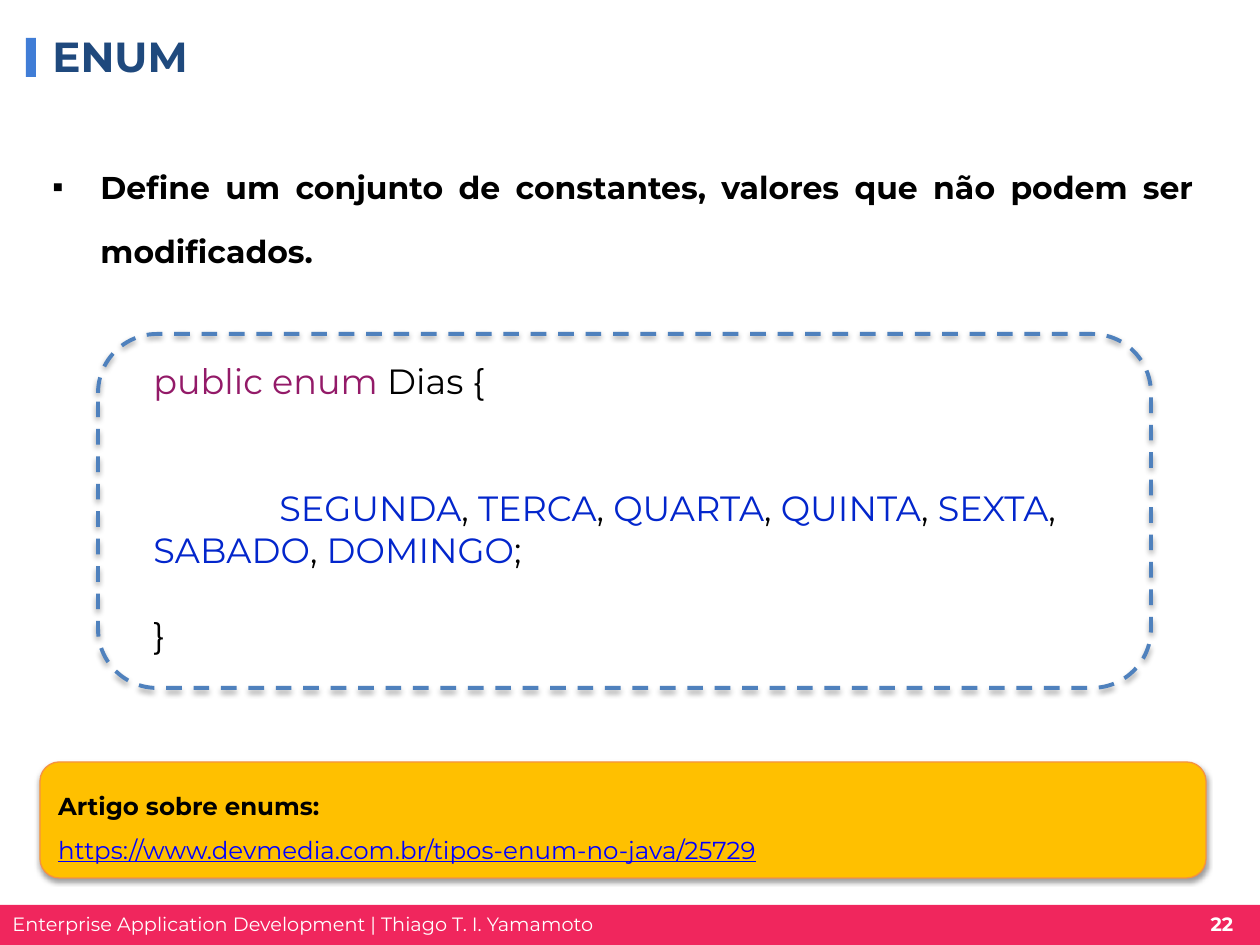
from dataclasses import dataclass

from lxml import etree
from pptx import Presentation
from pptx.dml.color import RGBColor
from pptx.enum.dml import MSO_LINE
from pptx.enum.shapes import MSO_SHAPE
from pptx.enum.text import MSO_ANCHOR, PP_ALIGN
from pptx.oxml import parse_xml
from pptx.oxml.ns import nsdecls, qn
from pptx.util import Emu, Pt

RECT, ROUNDED = MSO_SHAPE.RECTANGLE, MSO_SHAPE.ROUNDED_RECTANGLE
TOP, MIDDLE = MSO_ANCHOR.TOP, MSO_ANCHOR.MIDDLE
LEFT, CENTER, JUSTIFY = PP_ALIGN.LEFT, PP_ALIGN.CENTER, PP_ALIGN.JUSTIFY
DASH = MSO_LINE.DASH
PX_PER_INCH = 126


def px(length):
    return Emu(round(length * 914400 / PX_PER_INCH))


@dataclass(frozen=True)
class Theme:
    font: str = "Montserrat"
    # Colours
    footer: str = "F0265D"
    accent: str = "407DD6"
    title: str = "1F497D"
    text: str = "000000"
    light: str = "FFFFFF"
    card: str = "FFC000"
    card_line: str = "F69240"
    link: str = "0000FF"
    frame: str = "4F81BD"
    keyword: str = "931A68"
    constant: str = "0326CC"
    # Type sizes in points
    title_size: int = 24
    body_size: int = 18
    code_size: int = 20
    card_size: int = 14
    footer_size: int = 11
    code_line: float = 24.4


class SlideBuilder:
    def __init__(self, slide, theme):
        self.slide = slide
        self.theme = theme

    def shape(self, kind, box, fill=None, line=None, width=0.75, dash=None, shadow=False):
        shape = self.slide.shapes.add_shape(kind, *map(px, box))
        shape.shadow.inherit = False
        if fill:
            shape.fill.solid()
            shape.fill.fore_color.rgb = RGBColor.from_string(fill)
        else:
            shape.fill.background()
        if line:
            shape.line.color.rgb = RGBColor.from_string(line)
            shape.line.width = Pt(width)
            shape.line.dash_style = dash
        else:
            shape.line.fill.background()
        if shadow:
            self.cast_shadow(shape)
        return shape

    def cast_shadow(self, shape):
        effects = shape._element.spPr.find(qn("a:effectLst"))
        effects.append(parse_xml(
            f'<a:outerShdw {nsdecls("a")} blurRad="40000" dist="20000" dir="5400000" '
            'rotWithShape="0"><a:srgbClr val="000000"><a:alpha val="38000"/></a:srgbClr>'
            '</a:outerShdw>'))

    def text_box(self, box, anchor=TOP, wrap=True):
        frame = self.slide.shapes.add_textbox(*map(px, box)).text_frame
        frame.word_wrap = wrap
        frame.vertical_anchor = anchor
        return frame

    def paragraph(self, frame, runs, size, align=LEFT, spacing=None, before=None, first=False):
        """Each run is (text, colour, bold, underlined); the last two may be left out."""
        paragraph = frame.paragraphs[0] if first else frame.add_paragraph()
        paragraph.alignment = align
        if spacing:
            paragraph.line_spacing = spacing
        if before:
            paragraph.space_before = Pt(before)
        for text, color, *flags in runs:
            bold, underline = (flags + [False, False])[:2]
            run = paragraph.add_run()
            run.text = text
            run.font.name = self.theme.font
            run.font.size = Pt(size)
            run.font.bold = bold
            run.font.underline = underline
            run.font.color.rgb = RGBColor.from_string(color)
        return paragraph

    def indent(self, paragraph, left, first_line):
        properties = paragraph._p.get_or_add_pPr()
        properties.set("marL", str(px(left)))
        properties.set("indent", str(px(first_line)))
        return properties

    def bullet(self, paragraph, hang, char):
        properties = self.indent(paragraph, hang, -hang)
        etree.SubElement(properties, qn("a:buFont")).set("typeface", "Arial")
        etree.SubElement(properties, qn("a:buChar")).set("char", char)


def main():
    theme = Theme()
    presentation = Presentation()
    presentation.slide_width, presentation.slide_height = px(1260), px(945)
    builder = SlideBuilder(
        presentation.slides.add_slide(presentation.slide_layouts[6]), theme)

    # Footer band
    builder.shape(RECT, (0, 905, 1260, 40), fill=theme.footer)
    course = builder.text_box((0, 906, 614, 37), wrap=False)
    builder.paragraph(
        course, [("Enterprise Application Development | Thiago T. I. Yamamoto", theme.light)],
        theme.footer_size, first=True)
    page_number = builder.text_box((1196, 906, 52, 37), wrap=False)
    builder.paragraph(page_number, [("22", theme.light, True)], theme.footer_size,
                      align=CENTER, first=True)

    # Title with accent bar
    builder.shape(RECT, (26, 38, 10, 39), fill=theme.accent)
    title = builder.text_box((40, 29, 1008, 54), anchor=MIDDLE)
    builder.paragraph(title, [("ENUM", theme.title, True)], theme.title_size, first=True)

    # Definition
    definition = builder.text_box((40, 135, 1166, 169))
    sentence = builder.paragraph(
        definition,
        [("Define um conjunto de constantes, valores que não podem ser modificados.",
          theme.text, True)],
        theme.body_size, align=JUSTIFY, spacing=1.7, first=True)
    builder.bullet(sentence, 48, "▪")

    # Article card
    article = builder.shape(ROUNDED, (40, 762, 1166, 116), fill=theme.card,
                            line=theme.card_line, shadow=True).text_frame
    article.word_wrap = True
    article.vertical_anchor = MIDDLE
    builder.paragraph(article, [("Artigo sobre enums:", theme.text, True)],
                      theme.card_size, spacing=1.5, first=True)
    builder.paragraph(
        article,
        [("https://www.devmedia.com.br/tipos-enum-no-java/25729", theme.link, False, True)],
        theme.card_size, spacing=1.5)

    # Code sample in a dashed frame
    code = builder.text_box((141, 353, 982, 310))
    builder.paragraph(code, [("public enum", theme.keyword), (" Dias {", theme.text)],
                      theme.code_size, first=True)
    days = ["SEGUNDA", "TERCA", "QUARTA", "QUINTA", "SEXTA", "SABADO", "DOMINGO"]
    constants = []
    for day in days:
        separator = ";" if day == days[-1] else ", "
        constants += [(day, theme.constant), (separator, theme.text)]
    values = builder.paragraph(code, constants, theme.code_size, before=2 * theme.code_line)
    builder.indent(values, 0, 126)
    builder.paragraph(code, [("}", theme.text)], theme.code_size, before=theme.code_line)
    builder.shape(ROUNDED, (98, 334, 1053, 354), line=theme.frame, width=2.25,
                  dash=DASH, shadow=True)

    presentation.save("out.pptx")


if __name__ == "__main__":
    main()
